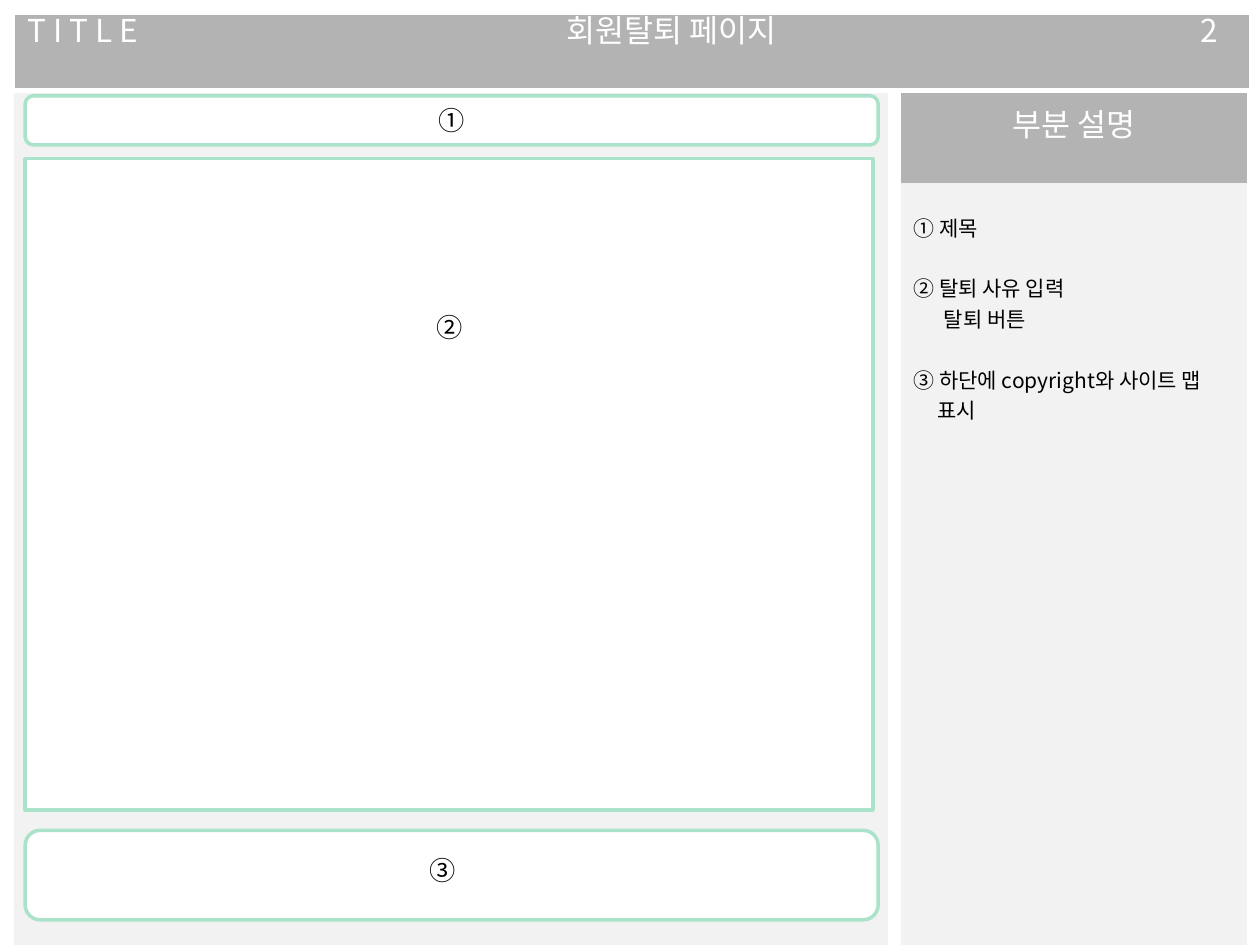
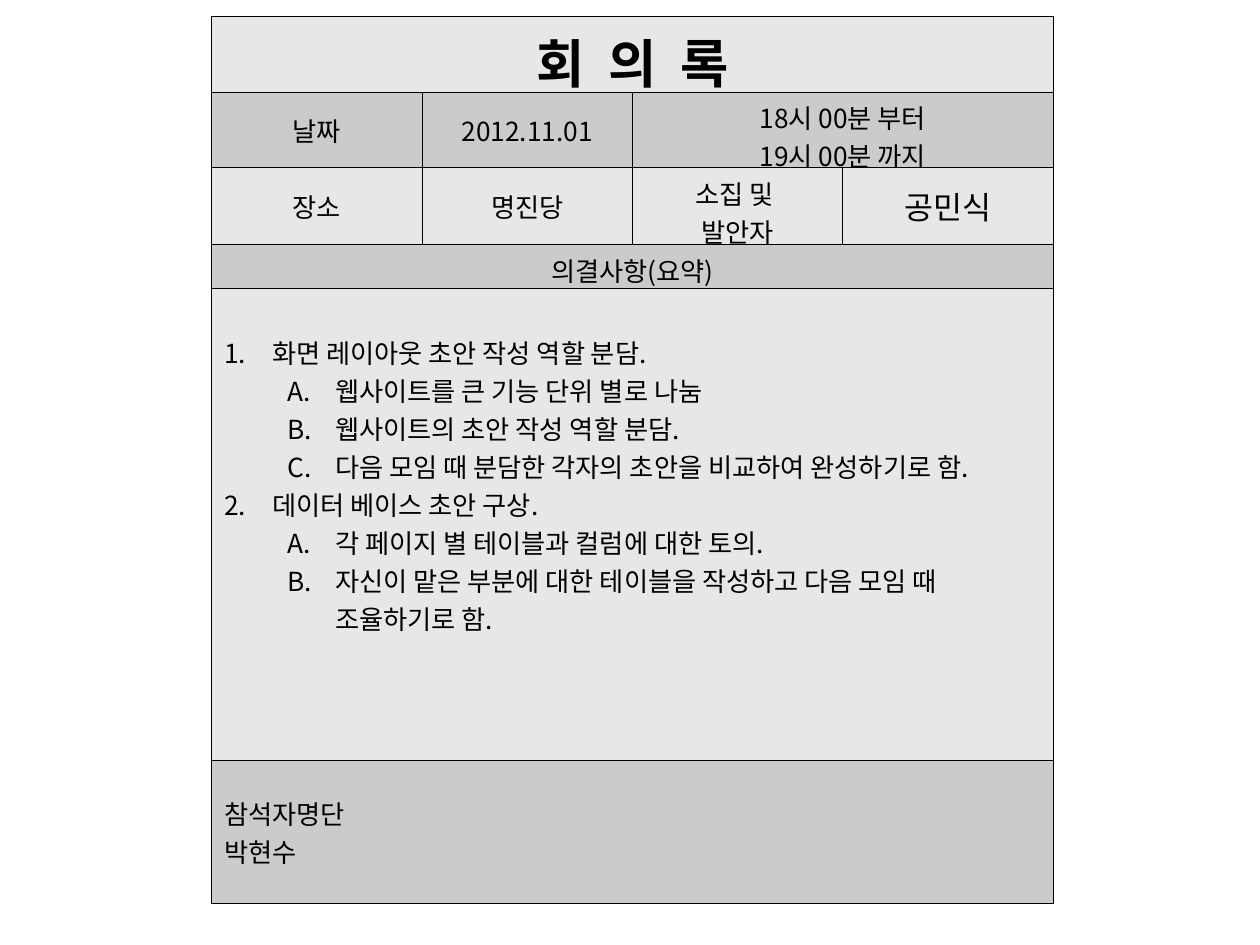
from lxml.etree import SubElement
from pptx import Presentation
from pptx.dml.color import RGBColor
from pptx.enum.shapes import MSO_SHAPE as Shape
from pptx.enum.text import MSO_ANCHOR as Anchor, PP_ALIGN as Align
from pptx.oxml import parse_xml
from pptx.oxml.ns import nsdecls, qn
from pptx.util import Inches, Pt

KR, SC = "Noto Sans CJK KR", "Noto Sans CJK SC"
WHITE, BLACK, BAND, PANEL, MINT = "FFFFFF", "000000", "B3B3B3", "F2F2F2", "AAE2CA"
LIGHT, DARK = "E7E7E7", "CBCBCB"
PLAIN_TABLE = "{2D5ABB26-0587-4C30-8999-92F81FD0307C}"
color = RGBColor.from_string


def write(frame, text, size=15, font=KR, ink=BLACK, bold=False, align=Align.LEFT,
          spacing=None):
    """Fill the frame with one paragraph for each line of text."""
    for index, line in enumerate(text.split("\n")):
        para = frame.paragraphs[0] if index == 0 else frame.add_paragraph()
        para.alignment, para.line_spacing = align, spacing
        span = para.add_run()
        span.text = line
        span.font.size, span.font.bold, span.font.name = Pt(size), bold, font
        span.font.color.rgb = color(ink)
        SubElement(span.font._element, qn("a:ea"), typeface=font)
    return frame.paragraphs


def add_grid(page, left, top, widths, heights, fills):
    """Add a table without a style; fills gives one colour for each row."""
    frame = page.shapes.add_table(len(heights), len(widths), Inches(left), Inches(top),
                                  Inches(sum(widths)), Inches(sum(heights)))
    grid = frame.table
    grid._tbl.tblPr.find(qn("a:tableStyleId")).text = PLAIN_TABLE
    grid.first_row = grid.horz_banding = False
    for column, width in zip(grid.columns, widths):
        column.width = Inches(width)
    for row, height, fill in zip(grid.rows, heights, fills):
        row.height = Inches(height)
        for cell in row.cells:
            cell.fill.solid()
            cell.fill.fore_color.rgb = color(fill)
    return grid


deck = Presentation()
deck.slide_width, deck.slide_height = Inches(10), Inches(7.5)
blank = deck.slide_layouts[6]

# Slide 1: page layout with its legend
page = deck.slides.add_slide(blank)
header = add_grid(page, 0.12, 0.12, [1.26, 7.9, 0.63], [0.58], [BAND])
for column, (text, align) in enumerate([("T I T L E", Align.LEFT),
                                        ("회원탈퇴 페이지", Align.CENTER),
                                        ("2", Align.CENTER)]):
    write(header.cell(0, column).text_frame, text, size=18, ink=WHITE, align=align,
          spacing=0.58)

add_grid(page, 0.11, 0.74, [6.94], [6.79], [PANEL])

# kind, top, width, height, label, font, bottom inset
areas = [(Shape.ROUNDED_RECTANGLE, 0.76, 6.77, 0.39, "①", KR, 0.05),
         (Shape.RECTANGLE, 1.26, 6.73, 5.17, "②", SC, 2.55),
         (Shape.ROUNDED_RECTANGLE, 6.59, 6.77, 0.71, "", SC, 0.05)]
for kind, top, width, height, label, font, inset in areas:
    area = page.shapes.add_shape(kind, Inches(0.2), Inches(top), Inches(width), Inches(height))
    area.shadow.inherit = False
    area.fill.solid()
    area.fill.fore_color.rgb = color(WHITE)
    area.line.color.rgb = color(MINT)
    area.line.width = Pt(2)
    area.text_frame.vertical_anchor = Anchor.MIDDLE
    area.text_frame.margin_bottom = Inches(inset)
    if label:
        write(area.text_frame, label, font=font, align=Align.CENTER)

footer_label = page.shapes.add_textbox(Inches(3.31), Inches(6.73), Inches(0.41), Inches(0.35))
footer_label.text_frame.word_wrap = False
write(footer_label.text_frame, "③", font=SC, align=Align.CENTER)

legend = add_grid(page, 7.15, 0.74, [2.75], [0.71, 6.29], [BAND, PANEL])
write(legend.cell(0, 0).text_frame, "부분 설명", size=18, ink=WHITE, align=Align.CENTER)
notes = legend.cell(1, 0)
notes.margin_top = Inches(0.23)
paras = write(notes.text_frame, "① 제목\n② 탈퇴 사유 입력\n탈퇴 버튼\n"
              "③ 하단에 copyright와 사이트 맵\n표시", size=12)
for index in (1, 3):
    paras[index].space_before = Pt(17.4)
for index, indent in ((2, 0.24), (4, 0.19)):
    paras[index]._p.get_or_add_pPr().set("marL", str(Inches(indent)))

# Slide 2: meeting minutes
page = deck.slides.add_slide(blank)
minutes = add_grid(page, 1.68, 0.13, [1.67] * 4, [0.6, 0.6, 0.61, 0.35, 3.74, 1.14],
                   [LIGHT, DARK] * 3)
for row in range(6):
    for column in range(4):
        cell = minutes.cell(row, column)
        cell.vertical_anchor = Anchor.MIDDLE
        for index, side in enumerate(("lnL", "lnR", "lnT", "lnB")):
            border = parse_xml(f'<a:{side} {nsdecls("a")} w="{Pt(0.45)}"><a:solidFill>'
                               f'<a:srgbClr val="{BLACK}"/></a:solidFill></a:{side}>')
            cell._tc.get_or_add_tcPr().insert(index, border)
for row, first in ((0, 0), (1, 2), (3, 0), (4, 0), (5, 0)):
    minutes.cell(row, first).merge(minutes.cell(row, 3))

entries = [(0, 0, "회  의  록", {"size": 30, "bold": True}),
           (1, 0, "날짜", {}), (1, 1, "2012.11.01", {}),
           (1, 2, "18시 00분 부터\n19시 00분 까지", {}),
           (2, 0, "장소", {}), (2, 1, "명진당", {}), (2, 2, "소집 및 \n발안자", {}),
           (2, 3, "공민식", {"size": 18}),
           (3, 0, "의결사항(요약)", {}),
           (5, 0, "참석자명단\n박현수", {"align": Align.LEFT})]
for row, column, text, style in entries:
    write(minutes.cell(row, column).text_frame, text, **{"align": Align.CENTER, **style})

decisions = [(0, "화면 레이아웃 초안 작성 역할 분담."),
             (1, "웹사이트를 큰 기능 단위 별로 나눔"),
             (1, "웹사이트의 초안 작성 역할 분담."),
             (1, "다음 모임 때 분담한 각자의 초안을 비교하여 완성하기로 함."),
             (0, "데이터 베이스 초안 구상."),
             (1, "각 페이지 별 테이블과 컬럼에 대한 토의."),
             (1, "자신이 맡은 부분에 대한 테이블을 작성하고 다음 모임 때 조율하기로 함.")]
summary = minutes.cell(4, 0)
summary.margin_bottom = Inches(0.67)
paras = write(summary.text_frame, "\n".join(text for level, text in decisions))
for para, (level, text) in zip(paras, decisions):
    para.level = level
    props = para._p.get_or_add_pPr()
    props.set("marL", str(Inches(0.38 + 0.5 * level)))
    props.set("indent", str(-Inches(0.38)))
    bullet_color = SubElement(props, qn("a:buClr"))
    SubElement(bullet_color, qn("a:srgbClr"), val=BLACK)
    SubElement(props, qn("a:buFont"), typeface=KR)
    SubElement(props, qn("a:buAutoNum"), type=("arabicPeriod", "alphaUcPeriod")[level])

deck.save("out.pptx")
